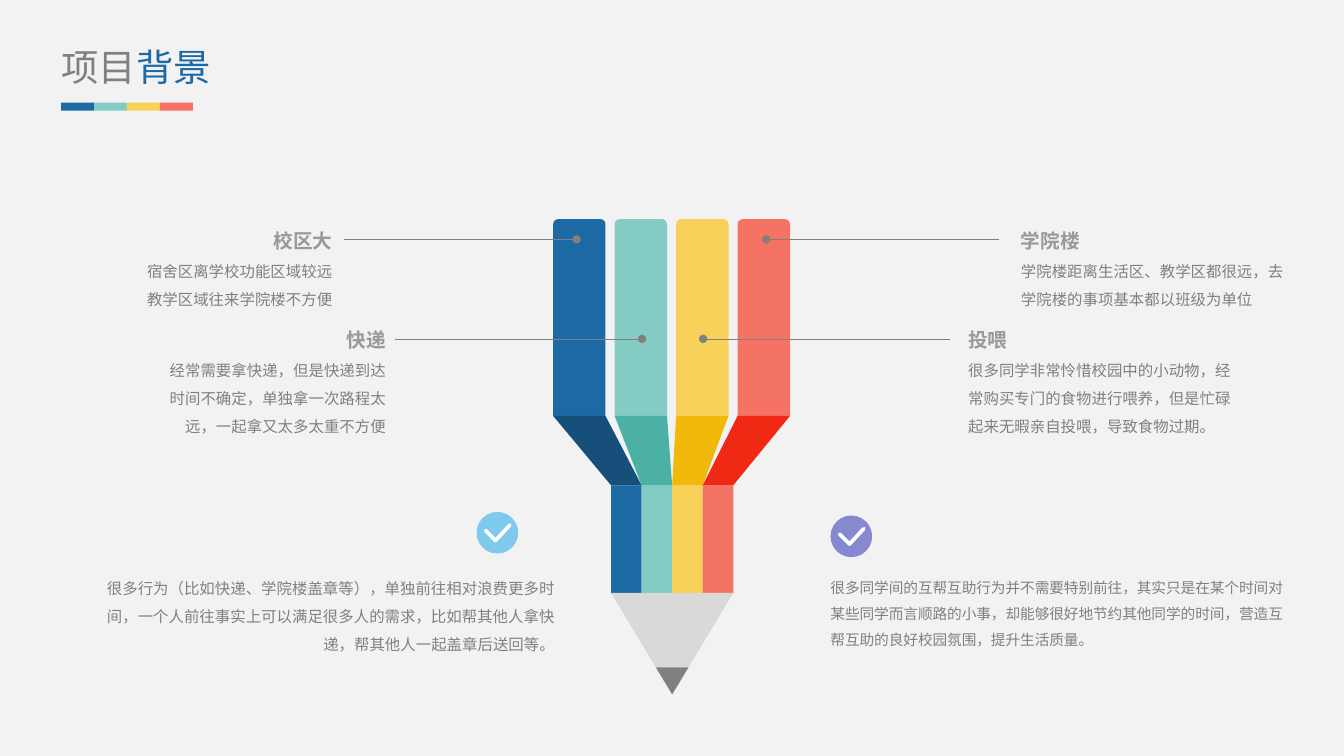
import pptx
import pptx.dml.color
import pptx.enum.shapes
import pptx.enum.text
import pptx.oxml.ns
import pptx.oxml.xmlchemy
import pptx.util
from lxml import etree

Cm = pptx.util.Cm
Pt = pptx.util.Pt
SHAPE = pptx.enum.shapes.MSO_SHAPE
ALIGN = pptx.enum.text.PP_ALIGN
qn = pptx.oxml.ns.qn

COLORS = {
    "background": "F2F2F2", "gray": "808080", "heading": "999999",
    "wood": "D9D9D9", "white": "FFFFFF", "sky": "7FC9EC", "violet": "8689D0",
    "blue": "1D69A3", "teal": "84CBC3", "yellow": "F8D158", "coral": "F57365",
    "blue_dark": "164F7A", "teal_dark": "4BB1A5",
    "yellow_dark": "F2B90A", "coral_dark": "F02914",
}
BANDS = ["blue", "teal", "yellow", "coral"]


def rgb(name):
    return pptx.dml.color.RGBColor.from_string(COLORS[name])


class SlideBuilder:
    font = "Noto Sans CJK SC"

    def __init__(self, slide):
        self.slide = slide
        self.shapes = slide.shapes
        slide.background.fill.solid()
        slide.background.fill.fore_color.rgb = rgb("background")

    def group(self):
        """Send the following shapes to a new group."""
        self.shapes = self.slide.shapes.add_group_shape().shapes

    def fill(self, sp, color):
        sp.shadow.inherit = False
        sp.fill.solid()
        sp.fill.fore_color.rgb = rgb(color)
        sp.line.fill.background()
        return sp

    def shape(self, kind, x, y, w, h, color):
        sp = self.shapes.add_shape(kind, Cm(x), Cm(y), Cm(w), Cm(h))
        return self.fill(sp, color)

    def outline(self, points, color, close=True):
        start, *rest = [(Cm(x), Cm(y)) for x, y in points]
        builder = self.shapes.build_freeform(*start)
        builder.add_line_segments(rest, close=close)
        return self.fill(builder.convert_to_shape(), color)

    def badge(self, x, y, color):
        self.group()
        self.shape(SHAPE.OVAL, x, y, 1.05, 1.05, color)
        tick = [(x + 0.23, y + 0.47), (x + 0.48, y + 0.72), (x + 0.84, y + 0.33)]
        sp = self.outline(tick, color, close=False)
        sp.line.color.rgb = rgb("white")
        sp.line.width = Pt(2.63)
        sp._element.spPr.find(qn("a:ln")).set("cap", "rnd")

    def leader(self, x1, x2, y):
        """Thin line that ends in a dot at x2."""
        cx = self.slide.shapes.add_connector(
            pptx.enum.shapes.MSO_CONNECTOR.STRAIGHT, Cm(x1), Cm(y), Cm(x2), Cm(y))
        cx.line.color.rgb = rgb("gray")
        cx.line.width = Pt(0.5)
        spPr = cx._element.spPr
        etree.SubElement(spPr.find(qn("a:ln")), qn("a:tailEnd"), type="oval")
        etree.SubElement(spPr, qn("a:effectLst"))

    def frame(self, sp):
        tf = sp.text_frame
        tf.word_wrap = True
        tf.auto_size = pptx.enum.text.MSO_AUTO_SIZE.NONE
        tf.vertical_anchor = pptx.enum.text.MSO_ANCHOR.TOP
        tf.margin_left = tf.margin_right = tf.margin_top = tf.margin_bottom = 0
        return tf

    def style(self, p, size, color, spacing, align=ALIGN.LEFT, bold=False):
        p.alignment = align
        p.line_spacing = Pt(spacing)
        p.space_before = p.space_after = Pt(0)
        for r in p.runs:
            r.font.size = Pt(size)
            r.font.bold = bold
            r.font.name = self.font
            r.font.color.rgb = rgb(color)
            etree.SubElement(r.font._element, qn("a:ea"), typeface=self.font)

    def title(self, first, second):
        sp = self.slide.shapes.title
        sp.left, sp.top, sp.width, sp.height = Cm(1.55), Cm(1.04), Cm(10.29), Cm(1.14)
        p = self.frame(sp).paragraphs[0]
        for part in (first, second):
            p.add_run().text = part
        self.style(p, 26.7, "gray", 34)
        p.runs[1].font.color.rgb = rgb("blue")

    def text(self, x, y, w, h, lines, align, heading=None, size=11, spacing=20):
        sp = self.slide.shapes.add_textbox(Cm(x), Cm(y), Cm(w), Cm(h))
        tf = self.frame(sp)
        tf.text = "\n".join(([heading] if heading else []) + lines)
        for i, p in enumerate(tf.paragraphs):
            if heading and i == 0:
                self.style(p, 14, "heading", 17, align, bold=True)
            else:
                self.style(p, size, "gray", spacing, align)


def draw_pencil(s):
    s.group()
    barrel_x, barrel_step, barrel_w = 13.94, 1.55, 1.32
    neck_x, neck_step = 15.4, 0.77
    top, fold, neck, wood, lead, tip = 5.52, 10.48, 12.23, 14.94, 16.82, 17.5
    center, end = neck_x + 2 * neck_step, neck_x + 4 * neck_step

    for i, color in enumerate(BANDS):
        x1 = barrel_x + i * barrel_step
        x2 = x1 + barrel_w
        n1 = neck_x + i * neck_step
        n2 = n1 + neck_step
        barrel = s.shape(SHAPE.ROUND_2_SAME_RECTANGLE, x1, top, barrel_w, fold - top, color)
        barrel.adjustments[0] = 0.1
        s.outline([(n1, neck), (n2, neck), (n2, wood),
                   ((n1 + n2) / 2, wood + 0.38), (n1, wood)], color)
        s.outline([(x1, fold), (x2, fold), (n2, neck), (n1, neck)], color + "_dark")

    # Wood and lead
    s.outline([(neck_x, wood), (end, wood), (center + 0.41, lead),
               (center - 0.41, lead)], "wood")
    s.outline([(center - 0.41, lead), (center + 0.41, lead), (center, tip)], "gray")


def main():
    prs = pptx.Presentation()
    prs.slide_width, prs.slide_height = Cm(33.87), Cm(19.05)
    s = SlideBuilder(prs.slides.add_slide(prs.slide_layouts[5]))

    # Title and colour bar
    s.title("项目", "背景")
    s.group()
    for i, color in enumerate(BANDS):
        s.shape(SHAPE.RECTANGLE, 1.54 + i * 0.83, 2.59, 0.83, 0.2, color)

    # Pencil and check badges
    draw_pencil(s)
    s.badge(12.01, 12.9, "sky")
    s.badge(20.93, 12.99, "violet")

    # Captions around the barrel
    upper, lower = 5.77, 8.26
    s.text(1.73, upper, 6.65, 2.64, ["宿舍区离学校功能区域较远", "教学区域往来学院楼不方便"],
           ALIGN.RIGHT, "校区大")
    s.text(4.04, lower, 5.69, 3.33,
           ["经常需要拿快递，但是快递到达时间不确定，单独拿一次路程太远，一起拿又太多太重不方便"],
           ALIGN.RIGHT, "快递")
    s.text(25.73, upper, 6.65, 1.93,
           ["学院楼距离生活区、教学区都很远，去学院楼的事项基本都以班级为单位"],
           ALIGN.LEFT, "学院楼")
    s.text(24.4, lower, 6.65, 2.64,
           ["很多同学非常怜惜校园中的小动物，经常购买专门的食物进行喂养，但是忙碌起来无暇亲自投喂，导致食物过期。"],
           ALIGN.LEFT, "投喂")

    # Leader lines
    for x1, x2, y in [(8.67, 14.53, 6.03), (25.17, 19.31, 6.03),
                      (23.95, 17.72, 8.54), (9.95, 16.18, 8.54)]:
        s.leader(x1, x2, y)

    # Conclusions
    s.text(2.54, 14.35, 11.45, 2.03,
           ["很多行为（比如快递、学院楼盖章等），单独前往相对浪费更多时间，一个人前往事实上可以满足很多人的需求，比如帮其他人拿快递，帮其他人一起盖章后送回等。"],
           ALIGN.RIGHT)
    s.text(20.93, 14.38, 11.45, 1.93,
           ["很多同学间的互帮互助行为并不需要特别前往，其实只是在某个时间对某些同学而言顺路的小事，却能够很好地节约其他同学的时间，营造互帮互助的良好校园氛围，提升生活质量。"],
           ALIGN.LEFT, size=10.5, spacing=18.6)

    prs.save("out.pptx")


if __name__ == "__main__":
    main()
